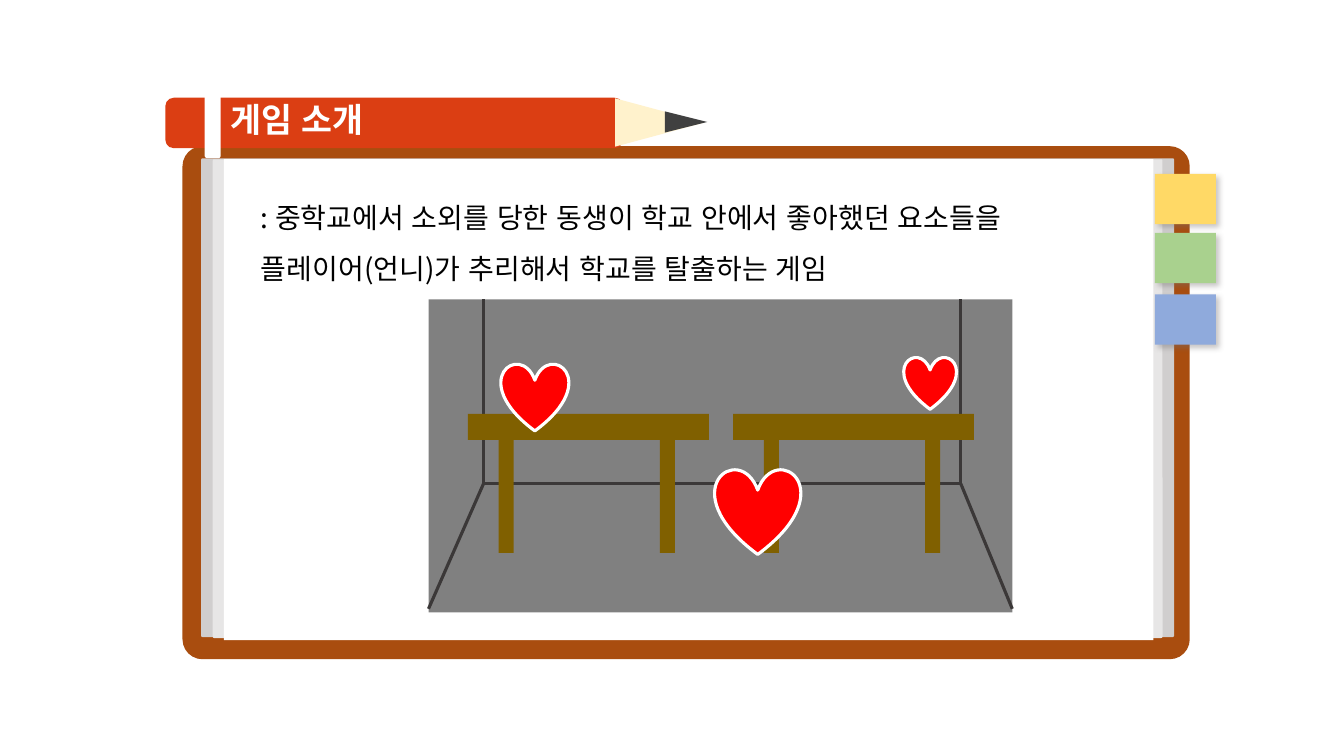
from lxml import etree
from pptx import Presentation
from pptx.dml.color import RGBColor
from pptx.enum.lang import MSO_LANGUAGE_ID
from pptx.enum.shapes import MSO_CONNECTOR, MSO_SHAPE as Shape
from pptx.enum.text import MSO_ANCHOR
from pptx.oxml import parse_xml
from pptx.oxml.ns import nsdecls, qn
from pptx.util import Inches, Pt

CELL = Inches(0.1)  # the slide is a grid of 133.3 columns by 75 rows
FONT = "Noto Sans CJK KR"
WHITE = RGBColor(0xFF, 0xFF, 0xFF)
BLACK = RGBColor(0x00, 0x00, 0x00)
COVER = RGBColor(0xA9, 0x4D, 0x0F)
PAGE_EDGE = RGBColor(0xD0, 0xCE, 0xCE)
PAGE_FOLD = RGBColor(0xE7, 0xE6, 0xE6)
PENCIL = RGBColor(0xDB, 0x3E, 0x13)
PENCIL_WOOD = RGBColor(0xFF, 0xF2, 0xCC)
PENCIL_LEAD = RGBColor(0x40, 0x40, 0x40)
YELLOW = RGBColor(0xFF, 0xD9, 0x66)
GREEN = RGBColor(0xA9, 0xD1, 0x8E)
BLUE = RGBColor(0x8F, 0xAA, 0xDC)
WALL = RGBColor(0x80, 0x80, 0x80)
WALL_EDGE = RGBColor(0x3B, 0x38, 0x38)
DESK = RGBColor(0x80, 0x60, 0x00)
RED = RGBColor(0xFF, 0x00, 0x00)

deck = Presentation()
deck.slide_width = Inches(13.33)
deck.slide_height = Inches(7.5)
page = deck.slides.add_slide(deck.slide_layouts[6])


def add_block(shapes, kind, cells, color, rounding=None):
    """Add a borderless filled shape at (column, row, columns, rows)."""
    block = shapes.add_shape(kind, *(round(n * CELL) for n in cells))
    block.shadow.inherit = False
    block.fill.solid()
    block.fill.fore_color.rgb = color
    block.line.fill.background()
    if rounding is not None:
        block.adjustments[0] = rounding
    return block


def add_text(cells, text, size, color):
    """Add a wrapped Korean text box with pair kerning switched off."""
    box = page.shapes.add_textbox(*(round(n * CELL) for n in cells))
    box.text_frame.word_wrap = True
    box.text_frame.text = text
    span = box.text_frame.paragraphs[0].runs[0]
    span.font.size = Pt(size)
    span.font.name = FONT
    span.font.color.rgb = color
    span.font.language_id = MSO_LANGUAGE_ID.KOREAN
    span.font._element.set("kern", "0")
    east_asian = etree.SubElement(span.font._element, qn("a:ea"))
    east_asian.set("typeface", FONT)
    return box


# Notebook, from the cover up to the top page
for kind, cells, color, rounding in (
    (Shape.ROUNDED_RECTANGLE, (18.1, 14.5, 99.9, 50.9), COVER, 0.039),
    (Shape.ROUNDED_RECTANGLE, (19.95, 15.7, 96.5, 47.5), PAGE_EDGE, 0.003),
    (Shape.ROUNDED_RECTANGLE, (21.1, 15.8, 94.2, 47.5), PAGE_FOLD, 0.003),
    (Shape.RECTANGLE, (22.2, 15.8, 92.2, 47.7), WHITE, None),
):
    add_block(page.shapes, kind, cells, color, rounding)

# Pencil with its white band
pencil = page.shapes.add_group_shape().shapes
add_block(pencil, Shape.ROUNDED_RECTANGLE, (16.4, 9.7, 45.4, 5), PENCIL)
for cells, color in (
    ((63.05, 7.7, 4.8, 8.9), PENCIL_WOOD),
    ((67, 10, 2.1, 4.2), PENCIL_LEAD),
):
    add_block(pencil, Shape.ISOSCELES_TRIANGLE, cells, color).rotation = 90
add_block(page.shapes, Shape.ROUNDED_RECTANGLE, (20.3, 9.4, 1.6, 6.3), WHITE)

# Texts
intro = add_text(
    (24.9, 17.75, 86.3, 43.9),
    ": 중학교에서 소외를 당한 동생이 학교 안에서 좋아했던 요소들을 "
    "플레이어(언니)가 추리해서 학교를 탈출하는 게임",
    20, BLACK,
)
para = intro.text_frame.paragraphs[0]
para.line_spacing = 1.5
para.space_before = Pt(10)

title = add_text((21.9, 9.65, 102.3, 4.8), "게임 소개", 24, WHITE)
title.text_frame.vertical_anchor = MSO_ANCHOR.MIDDLE
para = title.text_frame.paragraphs[0]
para.line_spacing = 0.9
para.runs[0].font.bold = True

# Index tabs with a soft shadow
for row, color in ((17.25, YELLOW), (23.1, GREEN), (29.2, BLUE)):
    tab = add_block(page.shapes, Shape.RECTANGLE, (114.55, row, 6.05, 5), color)
    effects = tab._element.spPr.find(qn("a:effectLst"))
    effects.append(parse_xml(
        f'<a:outerShdw {nsdecls("a")} blurRad="{Pt(4)}" dist="{Pt(3)}" '
        'dir="2700000" algn="tl" rotWithShape="0"><a:srgbClr val="767171">'
        '<a:alpha val="40000"/></a:srgbClr></a:outerShdw>'
    ))

# Classroom
left, right, top, bottom = 42.5, 100.4, 29.7, 60.4
back_left, back_right, floor = 47.95, 95.3, 48
add_block(page.shapes, Shape.RECTANGLE, (left, top, right - left, 31.05), WALL)
for ends in (
    (back_left, floor, back_right, floor),
    (back_left, top, back_left, floor),
    (back_right, top, back_right, floor),
    (back_right, floor, right, bottom),
    (back_left, floor, left, bottom),
):
    edge = page.shapes.add_connector(
        MSO_CONNECTOR.STRAIGHT, *(round(n * CELL) for n in ends))
    edge.line.color.rgb = WALL_EDGE
    edge.line.width = Pt(2.25)
    etree.SubElement(edge._element.spPr, qn("a:effectLst"))

for column in (72.7, 46.4):
    desk = page.shapes.add_group_shape().shapes
    add_block(desk, Shape.RECTANGLE, (column, 41.05, 23.9, 2.6), DESK)
    for offset in (3.05, 19.05):
        add_block(desk, Shape.RECTANGLE, (column + offset, 43.55, 1.5, 11.3), DESK)

for column, row, size in ((49.7, 36.05, 6.7), (70.9, 46.5, 8.5), (89.65, 35.4, 5.2)):
    heart = add_block(page.shapes, Shape.HEART, (column, row, size, size), RED)
    heart.line.color.rgb = WHITE
    heart.line.width = Pt(2.25)

deck.save("out.pptx")
